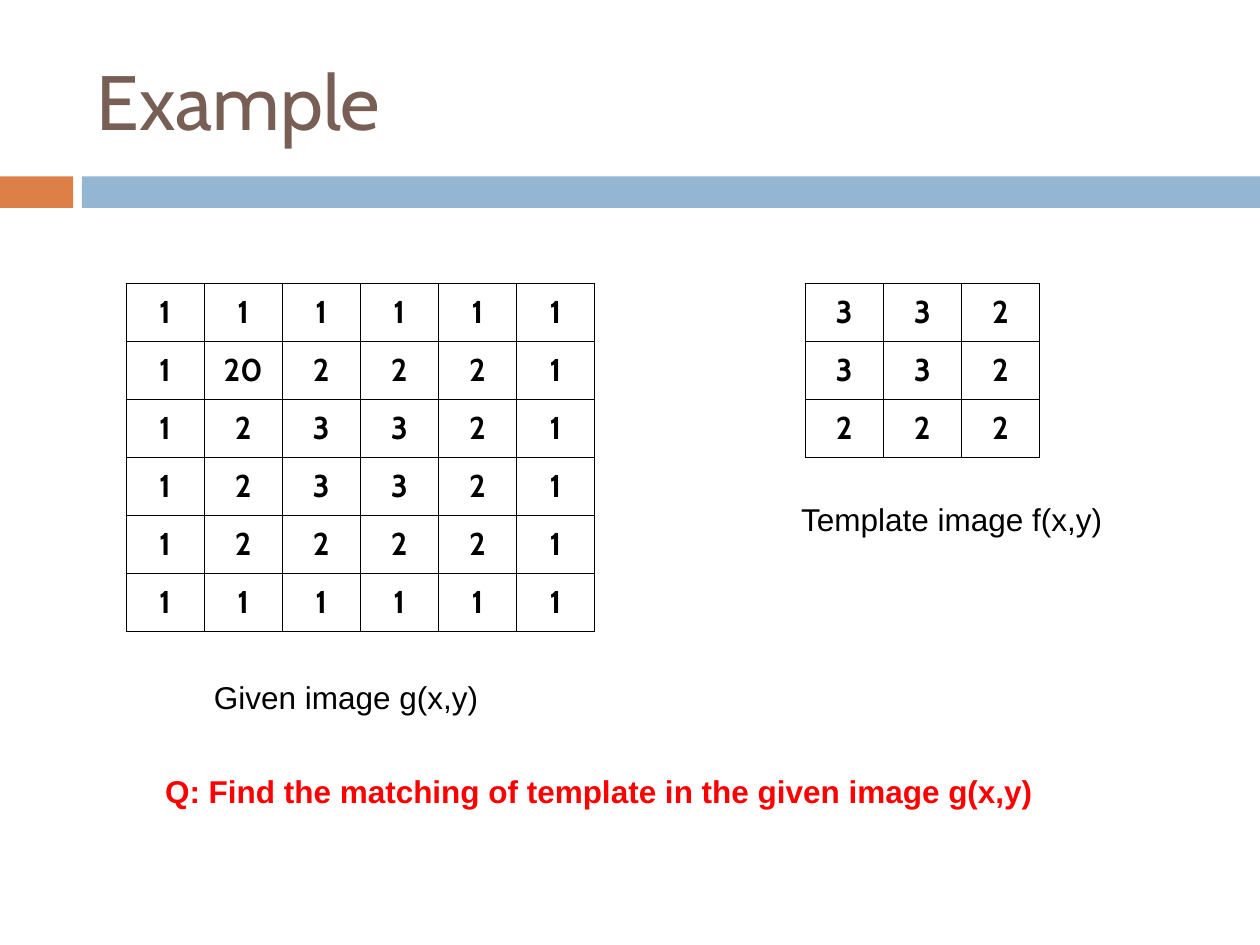
from lxml.etree import SubElement
from pptx import Presentation
from pptx.dml.color import RGBColor
from pptx.enum.shapes import MSO_SHAPE
from pptx.enum.text import MSO_ANCHOR, MSO_AUTO_SIZE, PP_ALIGN
from pptx.oxml.ns import qn
from pptx.util import Inches, Pt

ORANGE = RGBColor(0xDD, 0x80, 0x47)
BLUE = RGBColor(0x94, 0xB6, 0xD2)
BROWN = RGBColor(0x77, 0x5F, 0x55)
BLACK = RGBColor(0, 0, 0)
RED = RGBColor(0xFF, 0, 0)

CELL_W, CELL_H = 0.62, 0.46
GIVEN = [
    [1, 1, 1, 1, 1, 1],
    [1, 20, 2, 2, 2, 1],
    [1, 2, 3, 3, 2, 1],
    [1, 2, 3, 3, 2, 1],
    [1, 2, 2, 2, 2, 1],
    [1, 1, 1, 1, 1, 1],
]
TEMPLATE = [[3, 3, 2], [3, 3, 2], [2, 2, 2]]


def style(para, color, size=18, name="Arial", bold=False, align=PP_ALIGN.LEFT):
    para.alignment = align
    font = para.runs[0].font
    font.color.rgb = color
    for key, value in {"size": Pt(size), "name": name, "bold": bold}.items():
        setattr(font, key, value)


def add_text(slide, box, text, color, wrap=False, anchor=MSO_ANCHOR.TOP, **look):
    frame = slide.shapes.add_textbox(*map(Inches, box)).text_frame
    frame.text = text
    frame.word_wrap = wrap
    frame.auto_size = MSO_AUTO_SIZE.NONE if wrap else MSO_AUTO_SIZE.SHAPE_TO_FIT_TEXT
    frame.vertical_anchor = anchor
    style(frame.paragraphs[0], color, **look)


def add_band(slide, left, top, width, height):
    """Draw the two-colour strip: a short block, a gap and a long bar."""
    block, gap = 0.58, 0.07
    start = block + gap
    for x, w, color in ((left, block, ORANGE), (left + start, width - start, BLUE)):
        bar = slide.shapes.add_shape(
            MSO_SHAPE.RECTANGLE, *map(Inches, (x, top, w, height)))
        bar.shadow.inherit = False
        bar.fill.solid()
        bar.fill.fore_color.rgb = color
        bar.line.fill.background()


def add_edges(cell):
    props = cell._tc.get_or_add_tcPr()
    for side in ("lnL", "lnR", "lnT", "lnB"):
        line = SubElement(props, qn("a:" + side), w=str(Pt(0.45)))
        fill = SubElement(line, qn("a:solidFill"))
        SubElement(fill, qn("a:srgbClr"), val=str(BLACK))


def add_grid(slide, left, top, rows):
    """Draw a matrix of pixel values as a ruled table."""
    count, span = len(rows), len(rows[0])
    size = (left, top, span * CELL_W, count * CELL_H)
    table = slide.shapes.add_table(count, span, *map(Inches, size)).table
    table.first_row = table.horz_banding = False
    for col in table.columns:
        col.width = Inches(CELL_W)
    for r, row in enumerate(rows):
        table.rows[r].height = Inches(CELL_H)
        for c, value in enumerate(row):
            cell = table.cell(r, c)
            cell.text = str(value)
            cell.vertical_anchor = MSO_ANCHOR.MIDDLE
            add_edges(cell)
            cell.fill.background()
            style(cell.text_frame.paragraphs[0], BLACK, name="Cabin",
                  bold=True, align=PP_ALIGN.CENTER)


def main():
    deck = Presentation()
    deck.slide_width, deck.slide_height = Inches(10), Inches(7.5)
    slide = deck.slides.add_slide(deck.slide_layouts[6])

    # Heading
    add_band(slide, 0, 1.4, 10, 0.25)
    add_text(slide, (0.67, 0.25, 8.92, 1.08), "Example", BROWN, wrap=True,
             anchor=MSO_ANCHOR.MIDDLE, size=44, name="Cabin")

    # Matrices and their captions
    add_grid(slide, 1, 2.25, GIVEN)
    add_grid(slide, 6.39, 2.25, TEMPLATE)
    add_text(slide, (1.6, 5.33, 2.3, 0.4), "Given image g(x,y)", BLACK)
    add_text(slide, (6.26, 3.92, 2.61, 0.4), "Template image f(x,y)", BLACK)

    # Question
    add_text(slide, (1.21, 6.08, 7.09, 0.4),
             "Q: Find the matching of template in the given image g(x,y)",
             RED, bold=True, align=PP_ALIGN.CENTER)

    deck.save("out.pptx")


if __name__ == "__main__":
    main()
